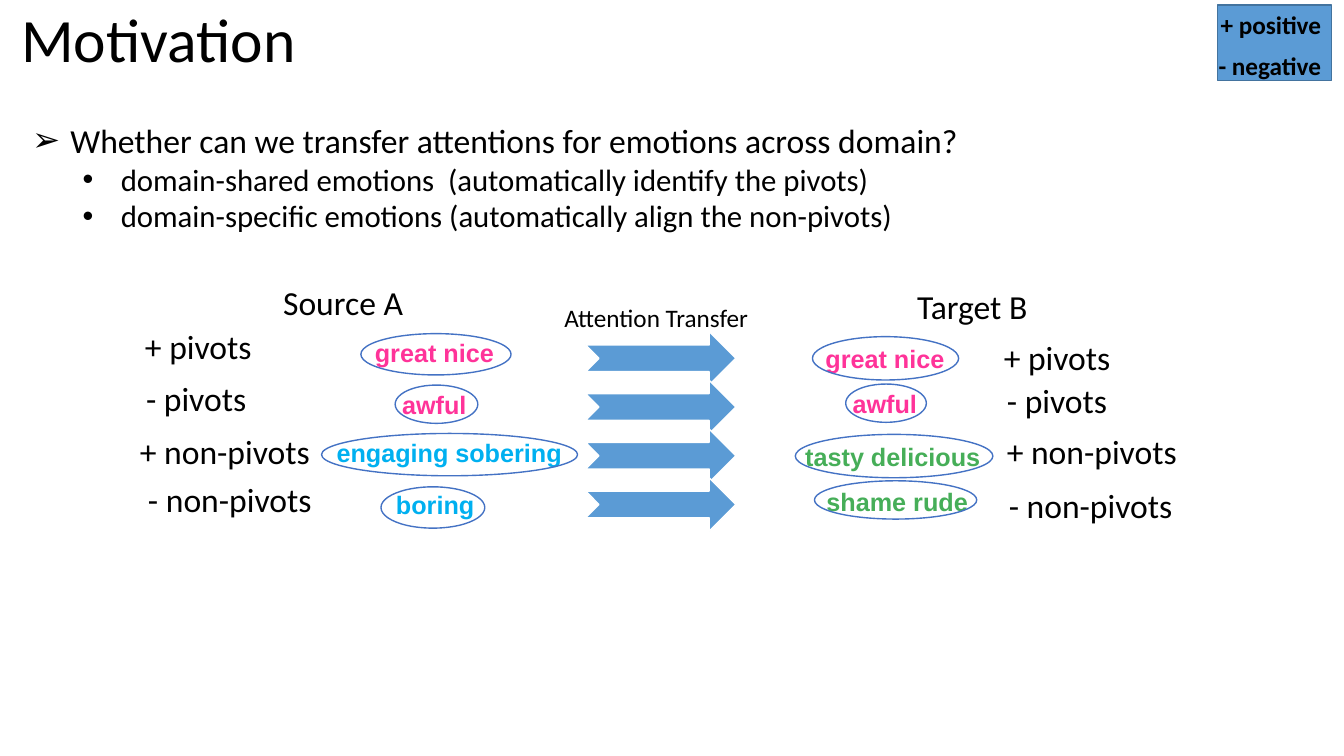
from dataclasses import dataclass

from lxml import etree
from pptx import Presentation
from pptx.dml.color import RGBColor
from pptx.enum.shapes import MSO_SHAPE
from pptx.enum.text import MSO_ANCHOR, MSO_AUTO_SIZE, PP_ALIGN
from pptx.oxml.ns import qn
from pptx.util import Inches, Pt

ELLIPSE = MSO_SHAPE.OVAL
ARROW = MSO_SHAPE.NOTCHED_RIGHT_ARROW
RECTANGLE = MSO_SHAPE.RECTANGLE
LEFT = PP_ALIGN.LEFT
MIDDLE = MSO_ANCHOR.MIDDLE
NO_AUTOFIT = MSO_AUTO_SIZE.NONE

CELL = 0.1
COLUMNS, ROWS = 133.33, 75
HEADING_ROWS, WORD_ROWS = 5, 4
BLACK, WHITE = "000000", "FFFFFF"
BLUE, BLUE_EDGE, OUTLINE = "5B9BD5", "43739E", "4472C4"
PINK, CYAN, GREEN = "FF3399", "00B0F0", "46AE58"

LABEL_COLUMNS = {"+ pivots": 12.7, "- pivots": 12.1,
                 "+ non-pivots": 19, "- non-pivots": 18.4}

SOURCE_ROWS = [
    ("+ pivots", (0.5, 4.3), "great nice", PINK, (23.3, 5.5, 13.9), (22.9, 5.6, 14.9, 4.1)),
    ("- pivots", (0.6, 9.5), "awful", PINK, (26, 10.6, 8.5), (26.3, 10.7, 8.2, 3.8)),
    ("+ non-pivots", (0, 14.8), "engaging sobering", CYAN, (19.5, 15.4, 26.1), (19, 15.5, 25.4, 4.2)),
    ("- non-pivots", (0.8, 19.5), "boring", CYAN, (25.4, 20.6, 9.9), (24.9, 20.8, 10.3, 4.1)),
]
TARGET_ROWS = [
    ("+ pivots", (19.7, 5.4), "great nice", PINK, (2, 6.1, 13.9), (1.7, 5.9, 14.5, 4.3)),
    ("- pivots", (20, 9.7), "awful", PINK, (4.7, 10.5, 8.5), (5, 10.6, 8, 3.8)),
    ("+ non-pivots", (20, 14.8), "tasty delicious", GREEN, (0, 15.8, 19.6), (0, 15.6, 19.6, 4.3)),
    ("- non-pivots", (20.2, 20.1), "shame rude", GREEN, (2.1, 20.3, 16.2), (1.9, 20.2, 16.1, 3.8)),
]
QUESTIONS = [
    ("➢", 0, 0.38, 24, "Whether can we transfer attentions for emotions across domain?"),
    ("•", 1, 0.88, 22, "domain-shared emotions  (automatically identify the pivots)"),
    ("•", 1, 0.88, 22, "domain-specific emotions (automatically align the non-pivots)"),
]


@dataclass
class Box:
    left: float
    top: float
    width: float
    height: float

    def inside(self, left, top, width, height):
        return Box(self.left + left, self.top + top, width, height)

    def lengths(self):
        cells = (self.left, self.top, self.width, self.height)
        return [Inches(cell * CELL) for cell in cells]


def color(value):
    return RGBColor.from_string(value)


def set_font(para, size, value=BLACK, name="Calibri", bold=False):
    para.font.size = Pt(size)
    para.font.name = name
    para.font.bold = bold
    para.font.color.rgb = color(value)


def add_label(shapes, box, text, size, **style):
    frame = shapes.add_textbox(*box.lengths()).text_frame
    frame.word_wrap = False
    para = frame.paragraphs[0]
    para.text = text
    para.alignment = LEFT
    set_font(para, size, **style)


def add_figure(shapes, kind, box, line, fill=None):
    shape = shapes.add_shape(kind, *box.lengths())
    shape.shadow.inherit = False
    shape.line.color.rgb = color(line)
    shape.line.width = Pt(1)
    if fill:
        shape.fill.solid()
        shape.fill.fore_color.rgb = color(fill)
    else:
        shape.fill.background()


def add_bullet(para, symbol, margin):
    properties = para._p.get_or_add_pPr()
    properties.set("marL", str(Inches(margin)))
    properties.set("indent", str(-Inches(0.38)))
    etree.SubElement(properties, qn("a:buFont")).set("typeface", "Arial")
    etree.SubElement(properties, qn("a:buChar")).set("char", symbol)


def draw_title(page, box):
    title = page.shapes.title
    title.left, title.top, title.width, title.height = box.lengths()
    frame = title.text_frame
    frame.auto_size = NO_AUTOFIT
    frame.vertical_anchor = MIDDLE
    para = frame.paragraphs[0]
    para.text = "Motivation"
    para.alignment = LEFT
    para.line_spacing = 0.9
    set_font(para, 44)


def draw_questions(page, box):
    frame = page.shapes.add_textbox(*box.lengths()).text_frame
    frame.word_wrap = True
    for index, (symbol, level, margin, size, text) in enumerate(QUESTIONS):
        para = frame.add_paragraph() if index else frame.paragraphs[0]
        para.text = text
        para.level = level
        add_bullet(para, symbol, margin)
        set_font(para, size)


def draw_domain(page, box, heading, heading_place, rows):
    shapes = page.shapes
    add_label(shapes, box.inside(*heading_place, HEADING_ROWS), heading, 24)
    for label, label_place, word, tint, word_place, ring in rows:
        label_box = box.inside(*label_place, LABEL_COLUMNS[label], HEADING_ROWS)
        add_label(shapes, label_box, label, 24)
        add_label(shapes, box.inside(*word_place, WORD_ROWS), word, 18,
                  value=tint, name="Arial", bold=True)
        add_figure(shapes, ELLIPSE, box.inside(*ring), OUTLINE)


def draw_transfer(page, box):
    add_label(page.shapes, box.inside(0, 0, box.width, WORD_ROWS), "Attention Transfer", 18)
    first, arrow_height, count = 3.4, 5.3, 4
    pitch = (box.height - first - arrow_height) / (count - 1)
    for index in range(count):
        arrow_box = box.inside(3.1, first + index * pitch, 14.9, arrow_height)
        add_figure(page.shapes, ARROW, arrow_box, WHITE, BLUE)


def draw_legend(page, box):
    shapes = page.shapes.add_group_shape().shapes
    add_figure(shapes, RECTANGLE, box, BLUE_EDGE, BLUE)
    for text, place in (("+ positive", (-0.7, -0.1, 12.1)), ("- negative", (-0.9, 4, 12.3))):
        add_label(shapes, box.inside(*place, WORD_ROWS), text, 18, bold=True)


def main():
    deck = Presentation()
    deck.slide_width = Inches(COLUMNS * CELL)
    deck.slide_height = Inches(ROWS * CELL)
    page = deck.slides.add_slide(deck.slide_layouts[5])
    draw_title(page, Box(1.1, 0.4, 115, 7.7))
    draw_questions(page, Box(2.2, 11.4, 110.2, 12.8))
    draw_domain(page, Box(12.9, 27.5, 45.6, 25), "Source A", (14.2, 0, 15.5), SOURCE_ROWS)
    draw_domain(page, Box(78.9, 27.5, 39, 25), "Target B", (11.1, 0.4, 14.4), TARGET_ROWS)
    draw_transfer(page, Box(55, 29.5, 20.7, 23.2))
    draw_legend(page, Box(120.8, 0.5, 11.3, 7.5))
    deck.save("out.pptx")


if __name__ == "__main__":
    main()
